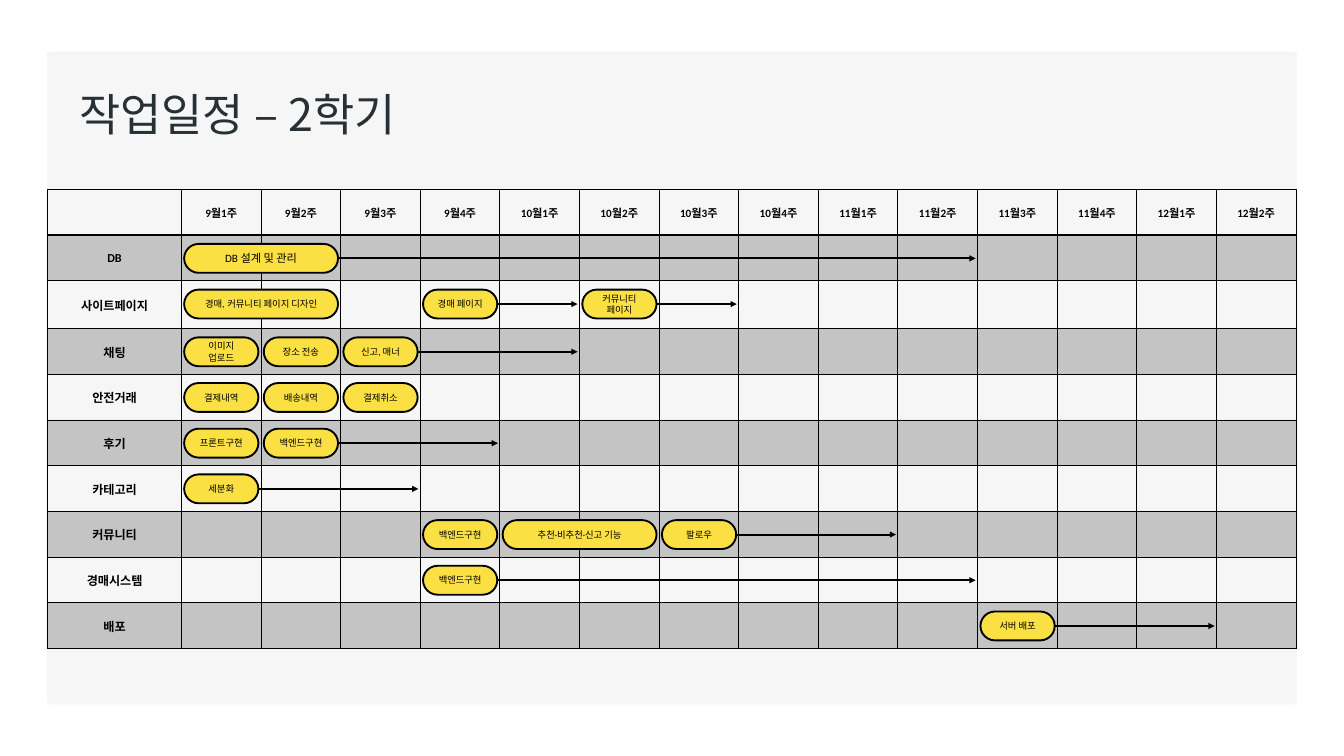
from lxml.etree import SubElement
from pptx import Presentation
from pptx.dml.color import RGBColor
from pptx.enum.shapes import MSO_CONNECTOR as Connector, MSO_SHAPE as Shape
from pptx.enum.text import MSO_ANCHOR as Anchor, PP_ALIGN as Align
from pptx.oxml.ns import qn
from pptx.util import Inches, Pt


def color(hex_string):
    return RGBColor.from_string(hex_string)


def style_text(paragraph, size, font_name, bold=False):
    paragraph.alignment = Align.CENTER
    paragraph.font.size = Pt(size)
    paragraph.font.name = font_name
    paragraph.font.bold = bold
    paragraph.font.color.rgb = color("000000")


presentation = Presentation()
presentation.slide_width = Inches(20)
presentation.slide_height = Inches(11.25)
slide = presentation.slides.add_slide(presentation.slide_layouts[5])

title = slide.shapes.title
title.left, title.top = Inches(1.08), Inches(1.23)
title.width, title.height = Inches(8.58), Inches(0.91)
title.text_frame.text = "작업일정 – 2학기"
title.text_frame.vertical_anchor = Anchor.MIDDLE
paragraph = title.text_frame.paragraphs[0]
paragraph.alignment = Align.LEFT
paragraph.font.size = Pt(48)
paragraph.font.name = "Noto Sans CJK KR"
paragraph.font.color.rgb = color("263035")

panel = slide.shapes.add_shape(
    Shape.ROUNDED_RECTANGLE, Inches(0.7), Inches(0.77), Inches(18.6), Inches(9.71))
panel.adjustments[0] = 0.004
panel.shadow.inherit = False
panel.fill.solid()
panel.fill.fore_color.rgb = color("F6F6F6")
panel.line.fill.background()
title.element.addprevious(panel.element)

weeks = [f"{month}월{week}주" for month, count in [(9, 4), (10, 4), (11, 4), (12, 2)]
         for week in range(1, count + 1)]
tasks = [
    ("DB", "Calibri"), ("사이트페이지", "Calibri"), ("채팅", "Arial"),
    ("안전거래", "Arial"), ("후기", "Arial"), ("카테고리", "Calibri"),
    ("커뮤니티", "Arial"), ("경매시스템", "Calibri"), ("배포", "Arial"),
]
table_left, table_top, table_width = 0.71, 2.82, 18.58
label_width = 1.99
week_width = (table_width - label_width) / len(weeks)
row_heights = [0.68] * (len(tasks) + 1)
row_heights[2] = 0.71

table = slide.shapes.add_table(
    len(row_heights), len(weeks) + 1, Inches(table_left), Inches(table_top),
    Inches(table_width), Inches(sum(row_heights))).table
table.first_row = False
table.horz_banding = False
for index, column in enumerate(table.columns):
    column.width = Inches(week_width if index else label_width)
for row, height in zip(table.rows, row_heights):
    row.height = Inches(height)

for row_index, row in enumerate(table.rows):
    for column_index, cell in enumerate(row.cells):
        cell.vertical_anchor = Anchor.MIDDLE
        cell.margin_left = cell.margin_right = cell.margin_top = Inches(0.01)
        cell.margin_bottom = 0
        if row_index == 0 and column_index:
            cell.text = weeks[column_index - 1]
            style_text(cell.text_frame.paragraphs[0], 12, "Calibri", True)
        elif row_index and column_index == 0:
            cell.text, font_name = tasks[row_index - 1]
            style_text(cell.text_frame.paragraphs[0], 13, font_name, True)

        properties = cell._tc.get_or_add_tcPr()
        for side in ("L", "R", "T", "B"):
            thick = (row_index, side) in [(0, "B"), (1, "T")]
            border = SubElement(properties, qn(f"a:ln{side}"), w=str(Pt(2 if thick else 1)))
            border_fill = SubElement(border, qn("a:solidFill"))
            SubElement(border_fill, qn("a:srgbClr"), val="000000")
        if row_index % 2:
            cell.fill.solid()
            cell.fill.fore_color.rgb = color("000000")
            shade = properties.find(f"{qn('a:solidFill')}/{qn('a:srgbClr')}")
            SubElement(shade, qn("a:alpha"), val="20000")
        else:
            cell.fill.background()

# row, first week, number of weeks, text, week at which the arrow ends
bars = [
    (1, 0, 2, "DB 설계 및 관리", 10),
    (2, 0, 2, "경매, 커뮤니티 페이지 디자인", None),
    (2, 3, 1, "경매 페이지", 5),
    (2, 5, 1, "커뮤니티 페이지", 7),
    (3, 0, 1, "이미지 업로드", None),
    (3, 1, 1, "장소 전송", None),
    (3, 2, 1, "신고, 매너", 5),
    (4, 0, 1, "결제내역", None),
    (4, 1, 1, "배송내역", None),
    (4, 2, 1, "결제취소", None),
    (5, 0, 1, "프론트구현", None),
    (5, 1, 1, "백엔드구현", 4),
    (6, 0, 1, "세분화", 3),
    (7, 3, 1, "백엔드구현", None),
    (7, 4, 2, "추천·비추천·신고 기능", None),
    (7, 6, 1, "팔로우", 9),
    (8, 3, 1, "백엔드구현", 10),
    (9, 10, 1, "서버 배포", 13),
]
weeks_left = table_left + label_width
bar_height = 0.43
for row_index, first_week, span, text, arrow_end in bars:
    left = weeks_left + first_week * week_width + 0.04
    top = table_top + sum(row_heights[:row_index]) + 0.13
    width = span * week_width - 0.08
    bar = slide.shapes.add_shape(
        Shape.ROUNDED_RECTANGLE, Inches(left), Inches(top), Inches(width), Inches(bar_height))
    bar.adjustments[0] = 0.5
    bar.shadow.inherit = False
    bar.fill.solid()
    bar.fill.fore_color.rgb = color("FBE043")
    bar.line.color.rgb = color("000000")
    bar.line.width = Pt(2)
    bar.text_frame.text = text
    bar.text_frame.word_wrap = True
    bar.text_frame.vertical_anchor = Anchor.MIDDLE
    style_text(bar.text_frame.paragraphs[0], 12 if row_index == 1 else 10,
               "Arial" if (row_index, first_week) == (2, 0) else "Calibri")

    if arrow_end:
        middle = Inches(top + bar_height / 2)
        arrow = slide.shapes.add_connector(
            Connector.STRAIGHT, Inches(left + width), middle,
            Inches(weeks_left + arrow_end * week_width - 0.03), middle)
        arrow.line.color.rgb = color("000000")
        arrow.line.width = Pt(2.25)
        SubElement(arrow.line._get_or_add_ln(), qn("a:tailEnd"), type="triangle")
        SubElement(arrow.element.spPr, qn("a:effectLst"))

presentation.save("out.pptx")
